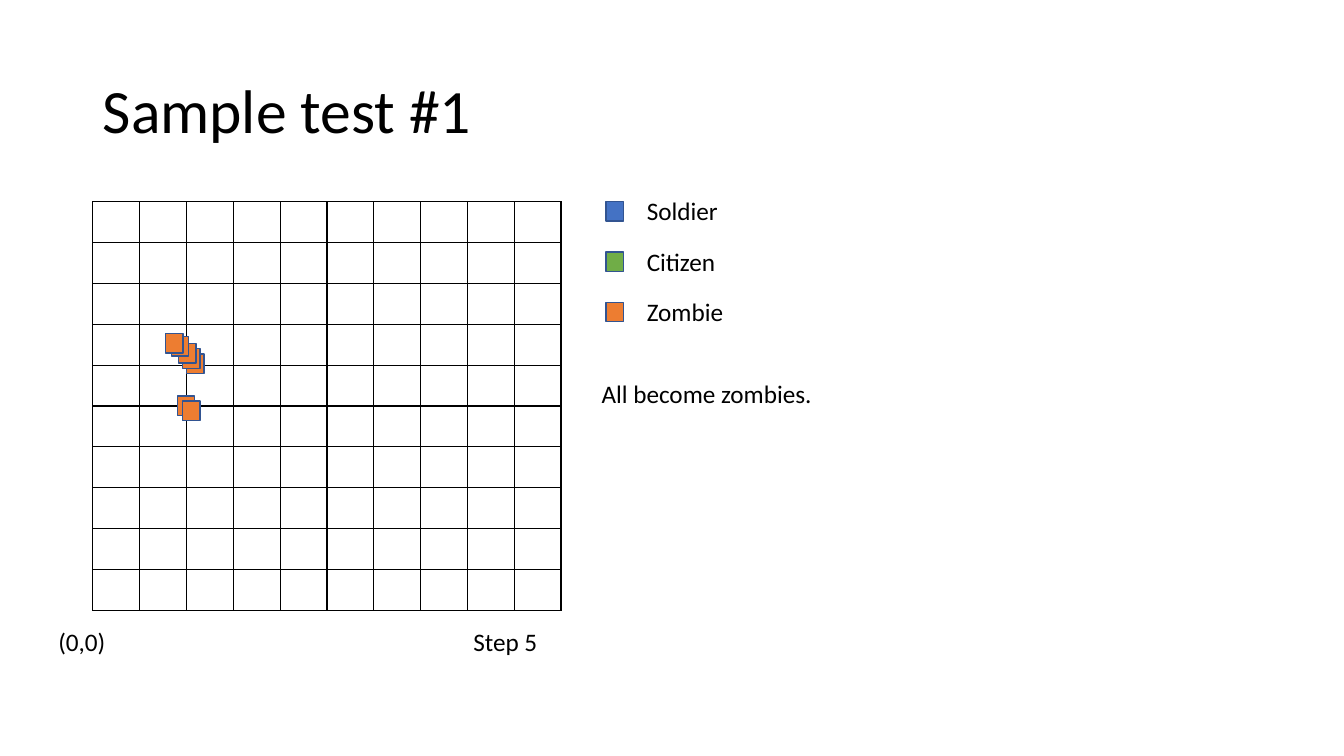
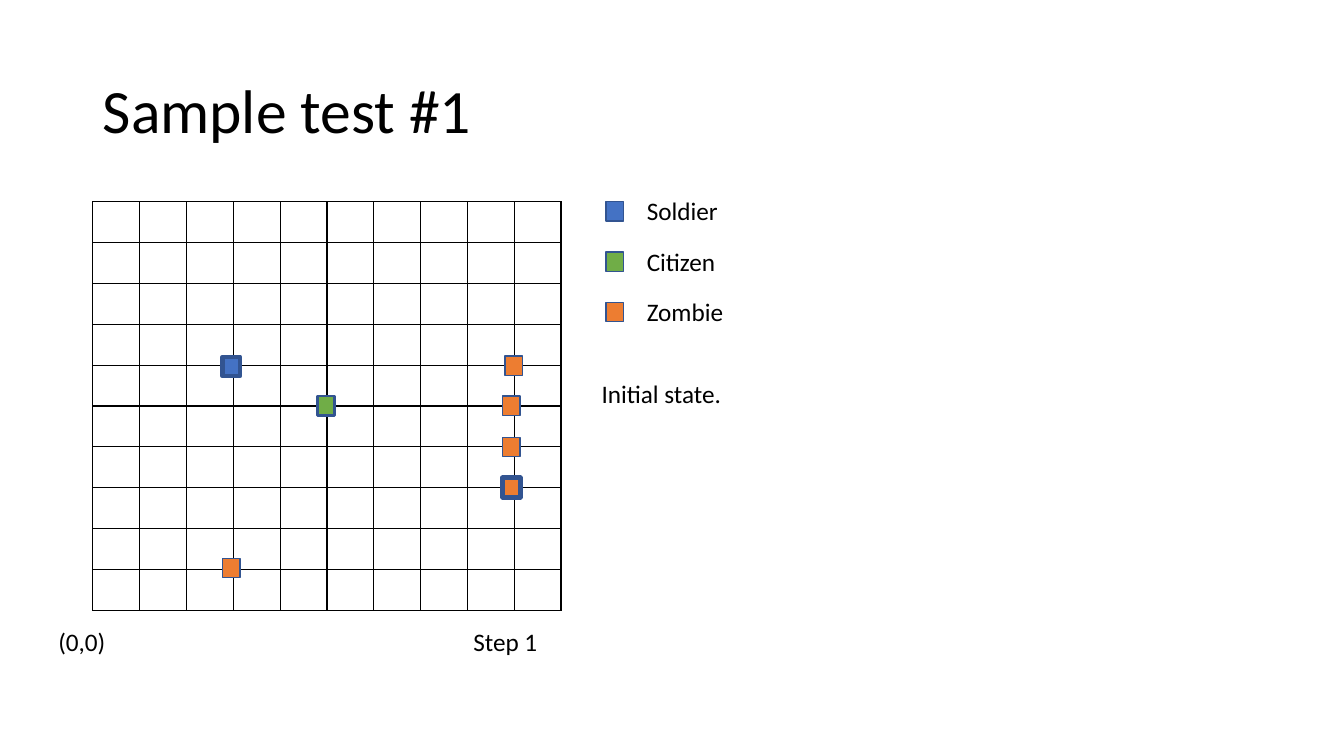
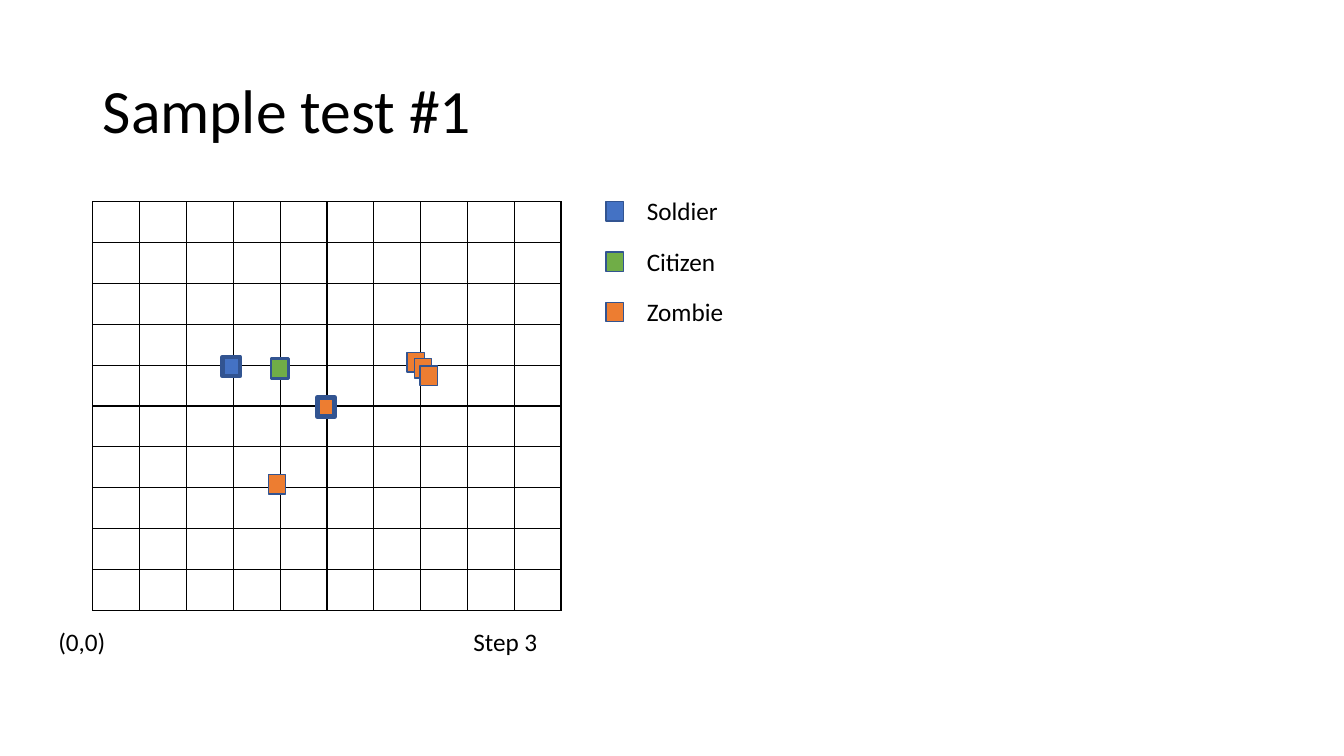
"""Build three slides showing steps of a zombie simulation on a grid."""
from dataclasses import dataclass

from lxml import etree
from pptx import Presentation
from pptx.dml.color import RGBColor
from pptx.enum.shapes import MSO_SHAPE
from pptx.enum.text import MSO_ANCHOR, MSO_AUTO_SIZE
from pptx.oxml.ns import qn
from pptx.slide import Slide
from pptx.table import _Cell
from pptx.util import Cm, Pt

RECT = MSO_SHAPE.RECTANGLE
MIDDLE = MSO_ANCHOR.MIDDLE
GROW = MSO_AUTO_SIZE.SHAPE_TO_FIT_TEXT

BLACK = RGBColor(0x00, 0x00, 0x00)
OUTLINE = RGBColor(0x32, 0x54, 0x91)
SOLDIER = RGBColor(0x44, 0x72, 0xC4)
CITIZEN = RGBColor(0x70, 0xAD, 0x47)
ZOMBIE = RGBColor(0xED, 0x7D, 0x31)

FONT = "Calibri"
GRID_LEFT, GRID_TOP = 2.34, 5.08
GRID_COUNT = 10
COL_WIDTH, ROW_HEIGHT = 1.18, 1.03
MARKER_WIDTH, MARKER_HEIGHT = 0.44, 0.49
LEGEND_STEP = 1.27
LEGEND = (("Soldier", SOLDIER), ("Citizen", CITIZEN), ("Zombie", ZOMBIE))


@dataclass(frozen=True)
class Marker:
    """A person on the grid, placed by the top left corner in centimetres."""
    left: float
    top: float
    color: RGBColor = ZOMBIE
    line: float = 1


@dataclass(frozen=True)
class Step:
    """One simulation step with its people and remark."""
    number: int
    markers: tuple[Marker, ...]
    remark: str = ""


STEPS = (
    Step(5, (
        Marker(4.47, 9.98),
        Marker(4.6, 10.11),
        Marker(4.7, 8.92),
        Marker(4.6, 8.79),
        Marker(4.5, 8.66),
        Marker(4.32, 8.48),
        Marker(4.17, 8.41),
    ), "All become zombies."),
    Step(1, (
        Marker(5.61, 8.99, SOLDIER, 3),
        Marker(12.67, 11.02),
        Marker(12.67, 9.98),
        Marker(12.67, 12.04, ZOMBIE, 3.5),
        Marker(8, 9.98, CITIZEN, 2),
        Marker(5.61, 14.07),
        Marker(12.73, 8.97),
    ), "Initial state."),
    Step(3, (
        Marker(5.61, 8.99, SOLDIER, 3),
        Marker(10.26, 8.89),
        Marker(10.44, 9.04),
        Marker(8, 10.01, ZOMBIE, 3.5),
        Marker(6.83, 9.04, CITIZEN, 2),
        Marker(6.76, 11.96),
        Marker(10.59, 9.22),
    )),
)


def add_text(slide: Slide, text: str, left: float, top: float, width: float,
             height: float = 1.03, size: float = 18) -> None:
    """Add a wrapped text box."""
    tf = slide.shapes.add_textbox(Cm(left), Cm(top), Cm(width), Cm(height)).text_frame
    tf.word_wrap = True
    tf.text = text
    p = tf.paragraphs[0]
    r = p.runs[0]
    r.font.name = FONT
    r.font.size = Pt(size)
    r.font.color.rgb = BLACK
    if size > 18:
        tf.vertical_anchor = MIDDLE
        p.line_spacing = 0.9
    else:
        tf.auto_size = GROW


def add_marker(slide: Slide, marker: Marker) -> None:
    """Add the small outlined box of one person."""
    sp = slide.shapes.add_shape(RECT, Cm(marker.left), Cm(marker.top),
                                Cm(MARKER_WIDTH), Cm(MARKER_HEIGHT))
    sp.shadow.inherit = False
    sp.fill.solid()
    sp.fill.fore_color.rgb = marker.color
    sp.line.color.rgb = OUTLINE
    sp.line.width = Pt(marker.line)


def format_cell(cell: _Cell) -> None:
    """Give a cell thin black borders and no fill."""
    cell.margin_top = cell.margin_bottom = 0
    tc_pr = cell._tc.get_or_add_tcPr()
    for side in ("a:lnL", "a:lnR", "a:lnT", "a:lnB"):
        ln = etree.SubElement(tc_pr, qn(side), w=str(Pt(1)))
        fill = etree.SubElement(ln, qn("a:solidFill"))
        etree.SubElement(fill, qn("a:srgbClr"), val=str(BLACK))
    cell.fill.background()


def add_grid(slide: Slide) -> None:
    """Add the square grid as an empty table."""
    table = slide.shapes.add_table(
        GRID_COUNT, GRID_COUNT, Cm(GRID_LEFT), Cm(GRID_TOP),
        Cm(GRID_COUNT * COL_WIDTH), Cm(GRID_COUNT * ROW_HEIGHT)).table
    table.first_row = table.horz_banding = False
    for column in table.columns:
        column.width = Cm(COL_WIDTH)
    for row in table.rows:
        row.height = Cm(ROW_HEIGHT)
    for cell in table.iter_cells():
        format_cell(cell)


def add_legend(slide: Slide) -> None:
    """Add the key of marker colours."""
    for i, (name, color) in enumerate(LEGEND):
        top = GRID_TOP + i * LEGEND_STEP
        add_marker(slide, Marker(15.27, top, color))
        add_text(slide, name, 16.05, top - 0.28, 4.24)


def add_step(prs: Presentation, step: Step) -> None:
    """Add the slide of one step."""
    slide = prs.slides.add_slide(prs.slide_layouts[6])
    add_text(slide, "Sample test #1", 2.34, 1.02, 29.21, 3.68, 44)
    add_grid(slide)
    for marker in step.markers:
        add_marker(slide, marker)
    add_legend(slide)
    add_text(slide, "(0,0)", 1.22, 15.65, 4.6)
    add_text(slide, f"Step {step.number}", 11.68, 15.65, 2.9)
    if step.remark:
        add_text(slide, step.remark, 14.91, 9.42, 7.85)


def main() -> None:
    """Build and save the presentation."""
    prs = Presentation()
    prs.slide_width, prs.slide_height = Cm(33.87), Cm(19.05)
    for step in STEPS:
        add_step(prs, step)
    prs.save("out.pptx")


main()
